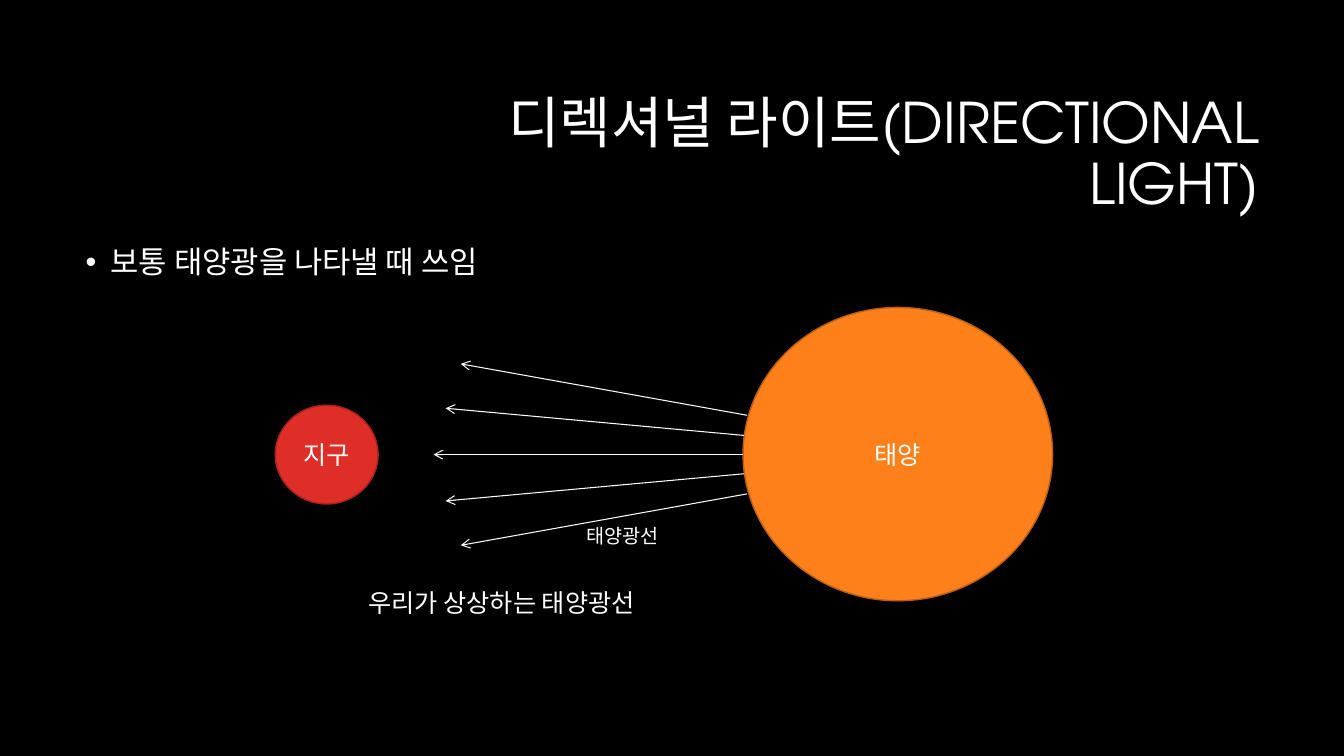
from dataclasses import dataclass
from lxml.etree import SubElement
from pptx import Presentation
from pptx.dml.color import RGBColor
from pptx.enum.shapes import MSO_CONNECTOR, MSO_SHAPE
from pptx.enum.text import MSO_ANCHOR, MSO_AUTO_SIZE, PP_ALIGN
from pptx.oxml.ns import qn
from pptx.util import Inches, Pt

TITLE = "디렉셔널 라이트(DIRECTIONAL LIGHT)"
POINT = "보통 태양광을 나타낼 때 쓰임"
BODIES = [
    ("태양", (7.37, 3.05, 3.07, 2.91), "FE801A", "BC5F13"),
    ("지구", (2.73, 4.02, 1.02, 0.98), "DF2E28", "A5221E"),
]
AXIS_Y = 4.51
RAYS = [(7.37, 0, 4.3, 0), (7.38, 0.19, 4.42, 0.46), (7.41, 0.39, 4.57, 0.9)]
RAY_LABEL = "태양광선"
CAPTION = "우리가 상상하는 태양광선"


@dataclass(frozen=True)
class Theme:
    font: str = "TeX Gyre Adventor"
    back: str = "000000"
    ink: str = "FFFFFF"
    title: int = 40
    body: int = 22
    label: int = 18
    small: int = 14


T = Theme()


def rgb(code):
    return RGBColor.from_string(code)


def box(at):
    return [Inches(v) for v in at]


def write(sp, text, size, align=PP_ALIGN.LEFT, anchor=MSO_ANCHOR.TOP, spacing=None):
    tf = sp.text_frame
    frame = {"word_wrap": True, "auto_size": MSO_AUTO_SIZE.NONE, "vertical_anchor": anchor}
    for name, value in frame.items():
        setattr(tf, name, value)
    p = tf.paragraphs[0]
    p.alignment = align
    p.line_spacing = spacing
    r = p.add_run()
    r.text = text
    for name, value in {"name": T.font, "size": Pt(size)}.items():
        setattr(r.font, name, value)
    r.font.color.rgb = rgb(T.ink)
    return p


def add_text(s, at, text, size, **fmt):
    return write(s.shapes.add_textbox(*box(at)), text, size, **fmt)


def add_bullet(p):
    pPr = p._p.get_or_add_pPr()
    pPr.set("marL", str(Inches(0.25)))
    pPr.set("indent", str(Inches(-0.25)))
    SubElement(pPr, qn("a:buFont")).set("typeface", "Arial")
    SubElement(pPr, qn("a:buChar")).set("char", "•")


def add_body(s, text, at, fill, edge):
    sp = s.shapes.add_shape(MSO_SHAPE.OVAL, *box(at))
    sp.shadow.inherit = False
    sp.fill.solid()
    sp.fill.fore_color.rgb = rgb(fill)
    sp.line.color.rgb = rgb(edge)
    sp.line.width = Pt(1)
    write(sp, text, T.label, PP_ALIGN.CENTER, MSO_ANCHOR.MIDDLE)


def add_ray(s, x1, y1, x2, y2):
    ray = s.shapes.add_connector(MSO_CONNECTOR.STRAIGHT, *box((x1, y1, x2, y2)))
    ray.line.color.rgb = rgb(T.ink)
    ray.line.width = Pt(0.75)
    SubElement(ray.line._get_or_add_ln(), qn("a:tailEnd")).set("type", "arrow")
    SubElement(ray._element.spPr, qn("a:effectLst"))


def main():
    prs = Presentation()
    prs.slide_width, prs.slide_height = Inches(13.33), Inches(7.5)
    s = prs.slides.add_slide(prs.slide_layouts[5])
    s.background.fill.solid()
    s.background.fill.fore_color.rgb = rgb(T.back)

    title = s.shapes.title
    title.left, title.top, title.width, title.height = box((3.17, 0.84, 9.42, 1.41))
    write(title, TITLE, T.title, PP_ALIGN.RIGHT, MSO_ANCHOR.MIDDLE, 0.9)
    add_bullet(add_text(s, (0.75, 2.4, 11.83, 4.4), POINT, T.body, spacing=0.9))

    for body in BODIES:
        add_body(s, *body)
    for x1, rise1, x2, rise2 in RAYS:
        for side in (-1, 1) if rise2 else (1,):
            add_ray(s, x1, AXIS_Y + side * rise1, x2, AXIS_Y + side * rise2)

    add_text(s, (5.72, 5.15, 1.34, 0.34), RAY_LABEL, T.small)
    add_text(s, (2.81, 5.78, 4.33, 0.4), CAPTION, T.label, align=PP_ALIGN.CENTER)
    prs.save("out.pptx")


if __name__ == "__main__":
    main()
